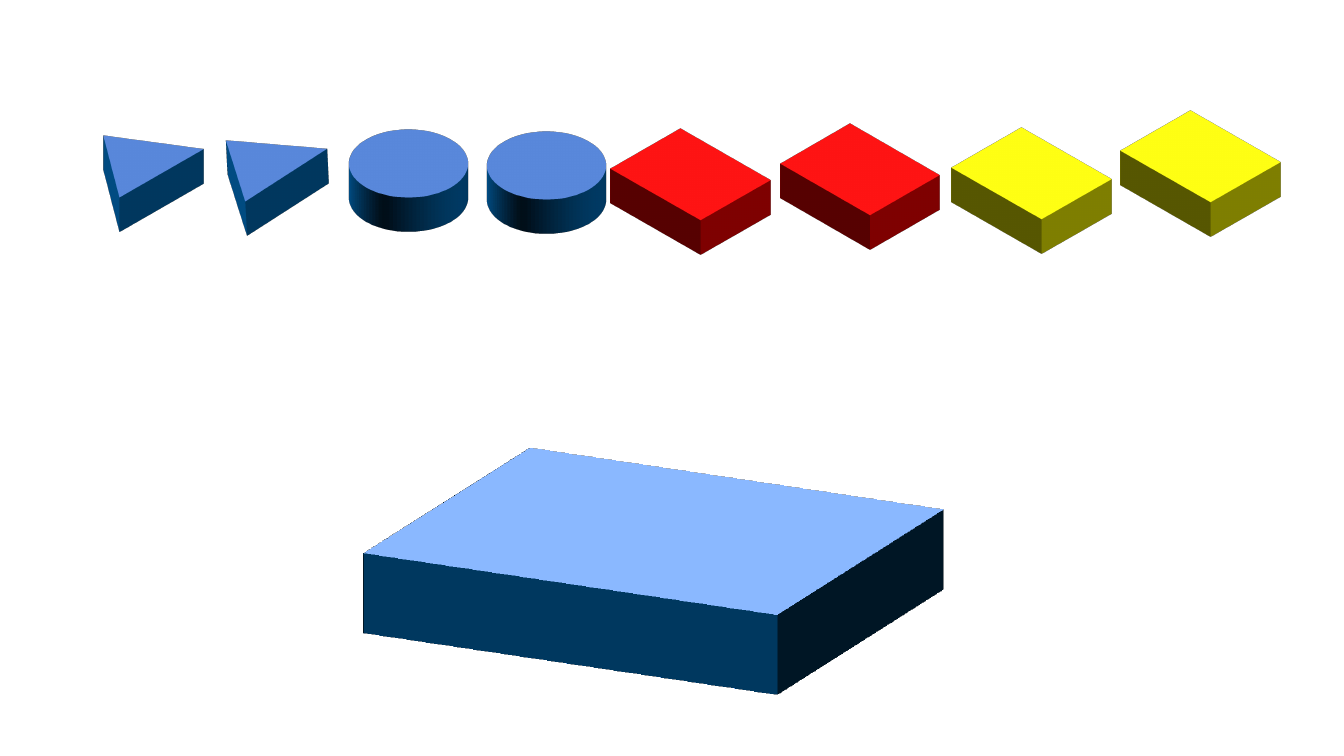
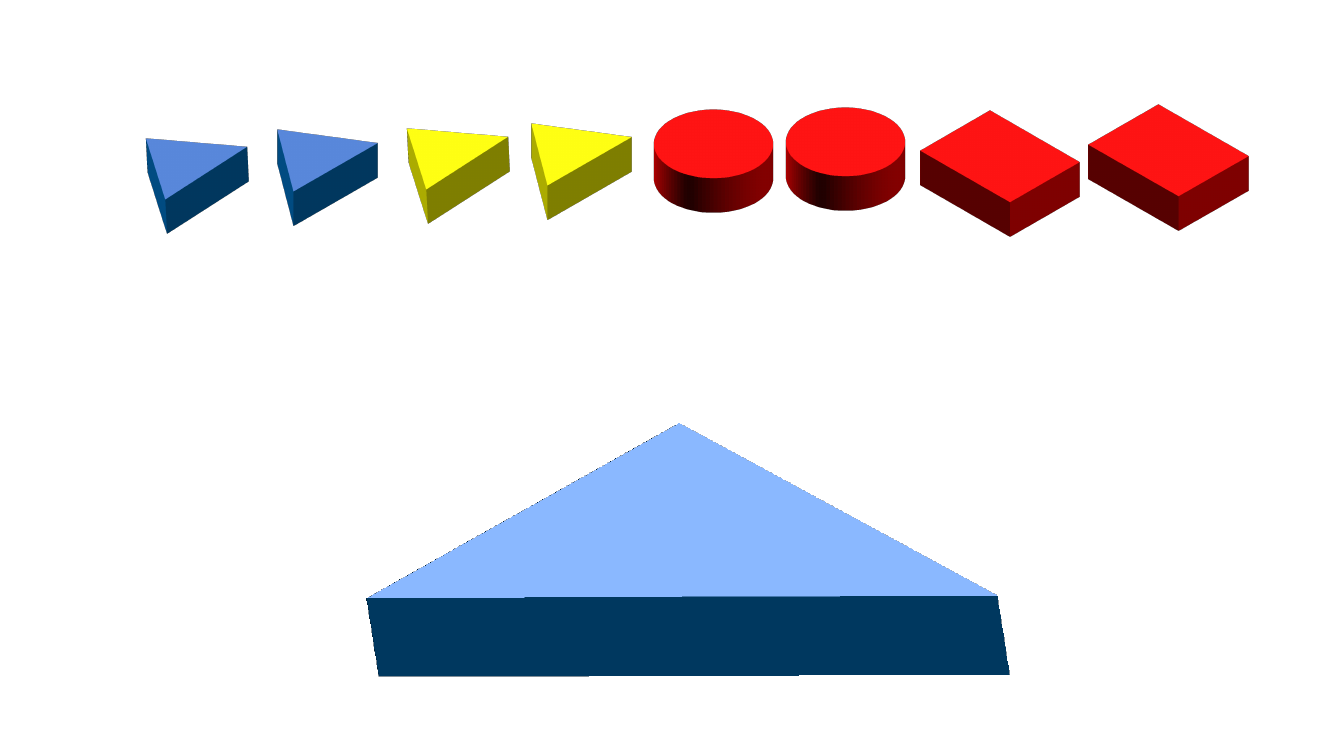
from lxml import etree
from pptx import Presentation
from pptx import util as u
from pptx.dml import color
from pptx.enum import shapes
from pptx.oxml import ns

SIDES = {"4472C4": "0070C0", "FF0000": "FF0000", "FFFF00": "FFFF00"}
BLUE, RED, YELLOW = SIDES
NAVY, OLIVE, GOLD, BLACK = "1E3256", "806000", "BF9000", "000000"
KINDS = {
    "disc": (shapes.MSO_SHAPE.OVAL, 1.18, 1.18, {}),
    "box": (shapes.MSO_SHAPE.RECTANGLE, 0.98, 1.26, {}),
    "tri": (shapes.MSO_SHAPE.ISOSCELES_TRIANGLE, 1.18, 0.87, {"adj": 0.546}),
    "tilt": (shapes.MSO_SHAPE.ISOSCELES_TRIANGLE, 1.18, 0.87,
             {"adj": 0.545, "turn": 357.1}),
    "slab": (shapes.MSO_SHAPE.RECTANGLE, 4.56, 3.76, {"big": True}),
    "wedge": (shapes.MSO_SHAPE.ISOSCELES_TRIANGLE, 6.89, 5.08,
              {"adj": 0.178, "turn": 351.3, "big": True}),
}


def rgb(tone):
    return color.RGBColor.from_string(tone)


class Deck:
    def __init__(self):
        self.file = Presentation()
        size = {"slide_width": u.Inches(13.33), "slide_height": u.Inches(7.5)}
        for name, value in size.items():
            setattr(self.file, name, value)

    def page(self):
        self.slide = self.file.slides.add_slide(self.file.slide_layouts[6])
        fill = self.slide.background.fill
        fill.solid()
        fill.fore_color.rgb = rgb("FFFFFF")

    def block(self, kind, tone, edge, x, y):
        form, wide, high, look = KINDS[kind]
        shape = self.slide.shapes.add_shape(
            form, u.Inches(x), u.Inches(y), u.Inches(wide), u.Inches(high))
        shape.shadow.inherit = False
        shape.fill.solid()
        shape.fill.fore_color.rgb = rgb(tone)
        shape.line.color.rgb = rgb(edge)
        shape.line.width = u.Pt(1)
        shape.rotation = look.get("turn", 0)
        if "adj" in look:
            shape.adjustments[0] = look["adj"]
        self.extrude(shape, SIDES[tone], look.get("big", False))

    def extrude(self, shape, tone, big):
        def add(parent, tag, **values):
            return etree.SubElement(parent, ns.qn("a:" + tag), values)

        props = shape.element.spPr
        scene = add(props, "scene3d")
        view = "isometricOffAxis2Top" if big else "isometricTopUp"
        add(scene, "camera", prst=view)
        add(scene, "lightRig", rig="threePt", dir="t")
        depth = u.Pt(60 if big else 30)
        solid = add(props, "sp3d", extrusionH=str(depth))
        add(add(solid, "extrusionClr"), "srgbClr", val=tone)


PAGES = [
    [
        ("disc", BLUE, NAVY, 3.46, 1.03),
        ("disc", BLUE, NAVY, 4.83, 1.05),
        ("box", YELLOW, GOLD, 9.74, 1.09),
        ("box", YELLOW, GOLD, 11.42, 0.92),
        ("box", RED, NAVY, 8.04, 1.05),
        ("box", RED, NAVY, 6.36, 1.1),
        ("tri", BLUE, OLIVE, 0.7, 1.11),
        ("tilt", BLUE, OLIVE, 1.93, 1.14),
        ("slab", BLUE, BLACK, 4.2, 3.39),
    ],
    [
        ("tri", BLUE, OLIVE, 2.43, 1.05),
        ("tilt", BLUE, OLIVE, 1.14, 1.12),
        ("tri", YELLOW, GOLD, 4.95, 0.99),
        ("tilt", YELLOW, GOLD, 3.73, 1.02),
        ("disc", RED, NAVY, 6.49, 0.84),
        ("disc", RED, NAVY, 7.8, 0.82),
        ("box", RED, NAVY, 9.43, 0.92),
        ("box", RED, NAVY, 11.1, 0.86),
        ("wedge", BLUE, OLIVE, 4.31, 2.51),
    ],
]


def main():
    deck = Deck()
    for blocks in PAGES:
        deck.page()
        for block in blocks:
            deck.block(*block)
    deck.file.save("out.pptx")


if __name__ == "__main__":
    main()
